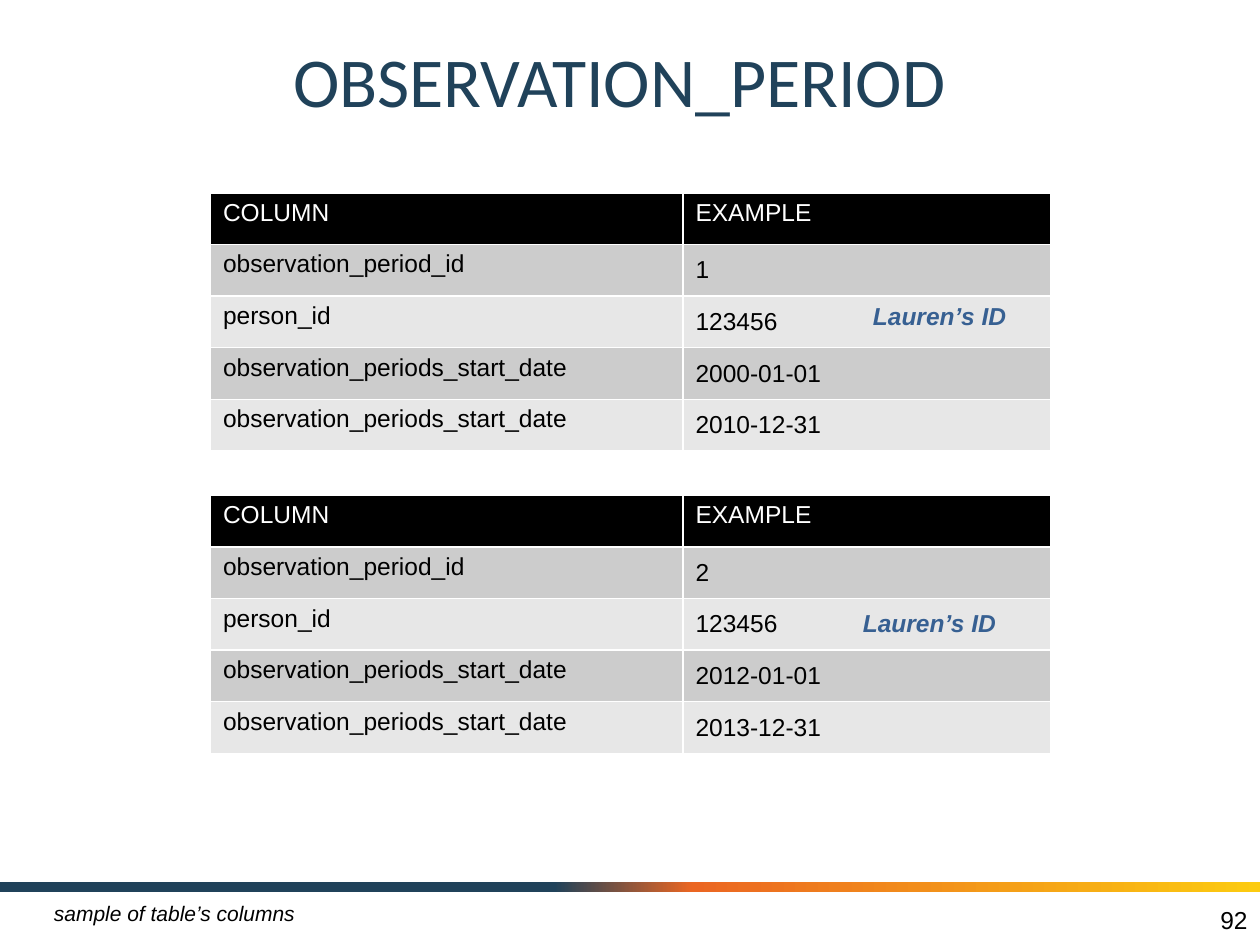
from lxml import etree
from pptx import Presentation
from pptx.dml.color import RGBColor
from pptx.enum import shapes, text
from pptx.oxml.ns import qn
from pptx.util import Inches, Pt

COLORS = {
    "navy": "20425A", "orange": "EB6622", "yellow": "FCCB10", "blue": "376092",
    "black": "000000", "white": "FFFFFF", "dark_band": "CCCCCC", "light_band": "E7E7E7",
}
BAR_STOPS = [(0, "navy"), (44, "navy"), (55, "orange"), (100, "yellow")]

HEADER = ("COLUMN", "EXAMPLE")
FIELDS = ["observation_period_id", "person_id",
          "observation_periods_start_date", "observation_periods_start_date"]
# table top, example values, position of the note
PERIODS = [
    (1.53, ["1", "123456", "2000-01-01", "2010-12-31"], (6.83, 2.34)),
    (3.93, ["2", "123456", "2012-01-01", "2013-12-31"], (6.75, 4.78)),
]
NOTE = "Lauren’s ID"
TABLE_LEFT, COLUMN_WIDTHS, ROW_HEIGHT = 1.67, (3.75, 2.92), 0.41


def color(name):
    return RGBColor.from_string(COLORS[name])


def style(paragraph, size, tint, face="Arial", bold=False, italic=False):
    font = paragraph.font
    font.name, font.size, font.bold, font.italic = face, Pt(size), bold, italic
    font.color.rgb = color(tint)


def add_label(page, words, place, size, tint, align=text.PP_ALIGN.LEFT,
              anchor=text.MSO_ANCHOR.TOP, **look):
    frame = page.shapes.add_textbox(*map(Inches, place)).text_frame
    frame.word_wrap = True
    frame.vertical_anchor = anchor
    paragraph = frame.paragraphs[0]
    paragraph.text = words
    paragraph.alignment = align
    style(paragraph, size, tint, **look)


def add_bar(page):
    bar = page.shapes.add_shape(shapes.MSO_SHAPE.RECTANGLE, 0, Inches(7), Inches(10), Inches(0.08))
    bar.shadow.inherit = False
    bar.line.fill.background()
    bar.fill.gradient()
    bar.fill.gradient_angle = 0
    stops = bar._element.spPr.find(".//" + qn("a:gsLst"))
    for stop in list(stops):
        stops.remove(stop)
    for percent, name in BAR_STOPS:
        stop = etree.SubElement(stops, qn("a:gs"), pos=str(percent * 1000))
        etree.SubElement(stop, qn("a:srgbClr"), val=COLORS[name])


def add_borders(cell):
    properties = cell._tc.get_or_add_tcPr()
    for side in ("lnL", "lnR", "lnT", "lnB"):
        line = etree.SubElement(properties, qn("a:" + side), w=str(Pt(1)))
        fill = etree.SubElement(line, qn("a:solidFill"))
        etree.SubElement(fill, qn("a:srgbClr"), val=COLORS["white"])


def add_period_table(page, top, values):
    rows = [HEADER, *zip(FIELDS, values)]
    table = page.shapes.add_table(
        len(rows), len(HEADER), Inches(TABLE_LEFT), Inches(top),
        Inches(sum(COLUMN_WIDTHS)), Inches(ROW_HEIGHT * len(rows))).table
    for column, width in zip(table.columns, COLUMN_WIDTHS):
        column.width = Inches(width)
    for r, row in enumerate(rows):
        table.rows[r].height = Inches(ROW_HEIGHT)
        band = "black" if r == 0 else "dark_band" if r % 2 else "light_band"
        for c, words in enumerate(row):
            cell = table.cell(r, c)
            cell.text = words
            if r and c:
                cell.vertical_anchor = text.MSO_ANCHOR.MIDDLE
            add_borders(cell)
            cell.fill.solid()
            cell.fill.fore_color.rgb = color(band)
            style(cell.text_frame.paragraphs[0], 14, "black" if r else "white")


def main():
    deck = Presentation()
    deck.slide_width, deck.slide_height = Inches(10), Inches(7.5)
    page = deck.slides.add_slide(deck.slide_layouts[6])
    middle = text.MSO_ANCHOR.MIDDLE

    add_bar(page)
    add_label(page, "OBSERVATION_PERIOD", (0.33, 0.17, 9.17, 0.92), 40, "navy",
              text.PP_ALIGN.CENTER, middle, face="Calibri")
    add_label(page, "92", (7.67, 7.1, 2.33, 0.4), 14, "black", text.PP_ALIGN.RIGHT, middle)
    add_label(page, "sample of table’s columns", (0.33, 7.1, 4.42, 0.3), 12, "black", italic=True)
    for top, values, _ in PERIODS:
        add_period_table(page, top, values)
    for _, _, position in PERIODS:
        add_label(page, NOTE, (*position, 3.17, 0.34), 14, "blue", bold=True, italic=True)

    deck.save("out.pptx")


if __name__ == "__main__":
    main()
